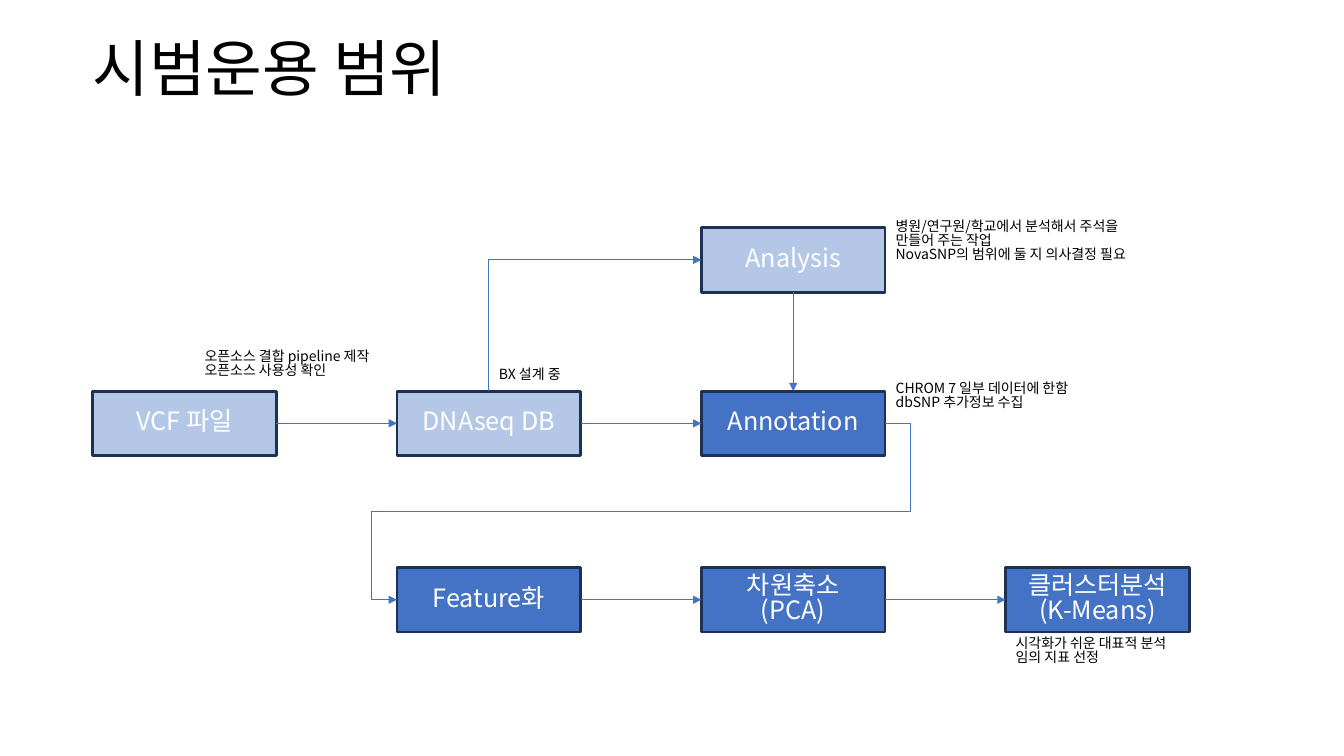
"""Build the pilot scope slide: a flow of boxes, arrows and notes."""
from dataclasses import dataclass

from lxml import etree
from pptx import Presentation
from pptx.dml.color import RGBColor
from pptx.enum.shapes import MSO_CONNECTOR, MSO_SHAPE
from pptx.enum.text import MSO_ANCHOR, PP_ALIGN
from pptx.oxml.ns import qn
from pptx.util import Pt

RECT = MSO_SHAPE.RECTANGLE
STRAIGHT, ELBOW = MSO_CONNECTOR.STRAIGHT, MSO_CONNECTOR.ELBOW
TOP, MIDDLE = MSO_ANCHOR.TOP, MSO_ANCHOR.MIDDLE
LEFT, CENTER = PP_ALIGN.LEFT, PP_ALIGN.CENTER
SITE_TOP, SITE_LEFT, SITE_BOTTOM, SITE_RIGHT = range(4)

FONT = "Noto Sans CJK KR"
BLUE, PALE, NAVY = "4472C4", "B4C7E7", "1D3155"
WHITE, BLACK = "FFFFFF", "000000"
X0, PITCH = 66.2, 217.4
ROWS = (162.7, 279.4, 405.4)
BOX_W, BOX_H = 131.2, 46


@dataclass
class Box:
    text: str
    col: int
    row: int
    fill: str


@dataclass
class Note:
    text: str
    x: float
    y: float
    w: float
    h: float


@dataclass
class Arrow:
    start: str
    start_site: int
    end: str
    end_site: int


BOXES = {
    "vcf": Box("VCF 파일", 0, 1, PALE),
    "db": Box("DNAseq DB", 1, 1, PALE),
    "annotation": Box("Annotation", 2, 1, BLUE),
    "feature": Box("Feature화", 1, 2, BLUE),
    "pca": Box("차원축소\n(PCA)", 2, 2, BLUE),
    "cluster": Box("클러스터분석\n(K-Means)", 3, 2, BLUE),
    "analysis": Box("Analysis", 2, 0, PALE),
}
ARROWS = [
    Arrow("vcf", SITE_RIGHT, "db", SITE_LEFT),
    Arrow("db", SITE_RIGHT, "annotation", SITE_LEFT),
    Arrow("feature", SITE_RIGHT, "pca", SITE_LEFT),
    Arrow("pca", SITE_RIGHT, "cluster", SITE_LEFT),
    Arrow("analysis", SITE_BOTTOM, "annotation", SITE_TOP),
]
RETURN = Arrow("annotation", SITE_RIGHT, "feature", SITE_LEFT)
BRANCH = Arrow("db", SITE_TOP, "analysis", SITE_LEFT)
NOTES = [
    Note("CHROM 7 일부 데이터에 한함\ndbSNP 추가정보 수집", 632.7, 269.3, 177.8, 31),
    Note("병원/연구원/학교에서 분석해서 주석을\n만들어 주는 작업\n"
         "NovaSNP의 범위에 둘 지 의사결정 필요", 632.7, 154.1, 211.7, 43.2),
    Note("BX 설계 중", 349.2, 259.9, 93.6, 18.7),
    Note("오픈소스 결합 pipeline 제작\n오픈소스 사용성 확인", 139, 247, 151.9, 31),
    Note("시각화가 쉬운 대표적 분석\n임의 지표 선정", 718.4, 451.4, 177.8, 31),
]


def rgb(value: str) -> RGBColor:
    """Return the colour for a hex string."""
    return RGBColor.from_string(value)


def write(sp, text: str, size: float, color: str, align=LEFT, anchor=TOP, spacing: float = 0.83):
    """Put styled paragraphs, one per line of text, into a shape."""
    tf = sp.text_frame
    tf.word_wrap = True
    tf.vertical_anchor = anchor
    tf.text = text
    for p in tf.paragraphs:
        p.alignment = align
        p.line_spacing = spacing
        p.font.size = Pt(size)
        p.font.color.rgb = rgb(color)
        p.font.name = FONT
        props = p._p.pPr.find(qn("a:defRPr"))
        etree.SubElement(props, qn("a:ea"), typeface=FONT)


def add_box(s, box: Box):
    """Draw a box in its grid cell."""
    sp = s.shapes.add_shape(RECT, Pt(X0 + box.col * PITCH), Pt(ROWS[box.row]), Pt(BOX_W), Pt(BOX_H))
    sp.shadow.inherit = False
    sp.fill.solid()
    sp.fill.fore_color.rgb = rgb(box.fill)
    sp.line.color.rgb = rgb(NAVY)
    sp.line.width = Pt(2)
    write(sp, box.text, 18, WHITE, CENTER, MIDDLE)
    return sp


def add_note(s, note: Note) -> None:
    """Draw a small text note."""
    sp = s.shapes.add_textbox(Pt(note.x), Pt(note.y), Pt(note.w), Pt(note.h))
    write(sp, note.text, 10, BLACK)


def add_arrow(s, boxes: dict, arrow: Arrow, kind=STRAIGHT):
    """Join two boxes with an arrow."""
    cn = s.shapes.add_connector(kind, 0, 0, 0, 0)
    cn.begin_connect(boxes[arrow.start], arrow.start_site)
    cn.end_connect(boxes[arrow.end], arrow.end_site)
    cn.line.color.rgb = rgb(BLUE)
    cn.line.width = Pt(0.75)
    etree.SubElement(cn.line._get_or_add_ln(), qn("a:tailEnd"), type="triangle")
    etree.SubElement(cn._element.spPr, qn("a:effectLst"))
    return cn


def bend(cn, preset: str, adjustments: tuple = ()) -> None:
    """Give an elbow connector its preset and adjustments."""
    geom = cn._element.spPr.find(qn("a:prstGeom"))
    geom.set("prst", preset)
    guides = geom.find(qn("a:avLst"))
    for i, value in enumerate(adjustments, 1):
        etree.SubElement(guides, qn("a:gd"), name=f"adj{i}", fmla=f"val {value}")


def turn_up(cn) -> None:
    """Rotate a one-corner elbow so that it leaves upwards and then runs right."""
    left, top, w, h = cn.left, cn.top, cn.width, cn.height
    cn.left, cn.top = left + (w - h) // 2, top + (h - w) // 2
    cn.width, cn.height = h, w
    xfrm = cn._element.spPr.find(qn("a:xfrm"))
    for name, value in (("rot", "5400000"), ("flipH", "1"), ("flipV", "1")):
        xfrm.set(name, value)


def main() -> None:
    """Build and save the slide."""
    prs = Presentation()
    prs.slide_width, prs.slide_height = Pt(960), Pt(540)
    s = prs.slides.add_slide(prs.slide_layouts[6])
    title = s.shapes.add_textbox(Pt(66.2), Pt(28.8), Pt(828), Pt(104.4))
    tf = title.text_frame
    tf.margin_left = tf.margin_right = tf.margin_bottom = 0
    tf.margin_top = Pt(4.6)
    write(title, "시범운용 범위", 44, BLACK, spacing=0.75)
    boxes = {name: add_box(s, box) for name, box in BOXES.items()}
    for arrow in ARROWS:
        add_arrow(s, boxes, arrow)
    bend(add_arrow(s, boxes, RETURN, ELBOW), "bentConnector5", (-5200, 50000, 105200))
    branch = add_arrow(s, boxes, BRANCH, ELBOW)
    bend(branch, "bentConnector2")
    turn_up(branch)
    for note in NOTES:
        add_note(s, note)
    prs.save("out.pptx")


if __name__ == "__main__":
    main()
